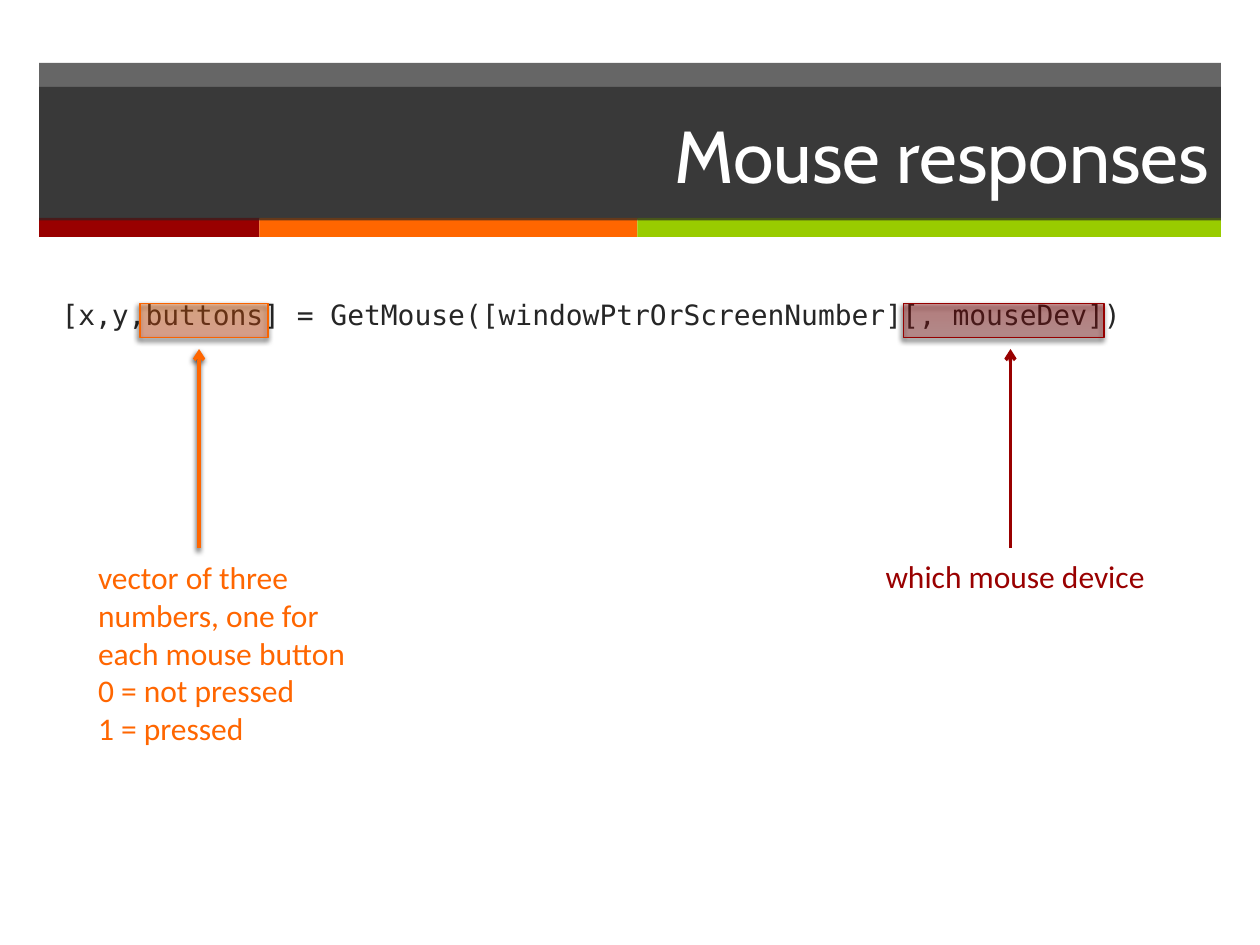
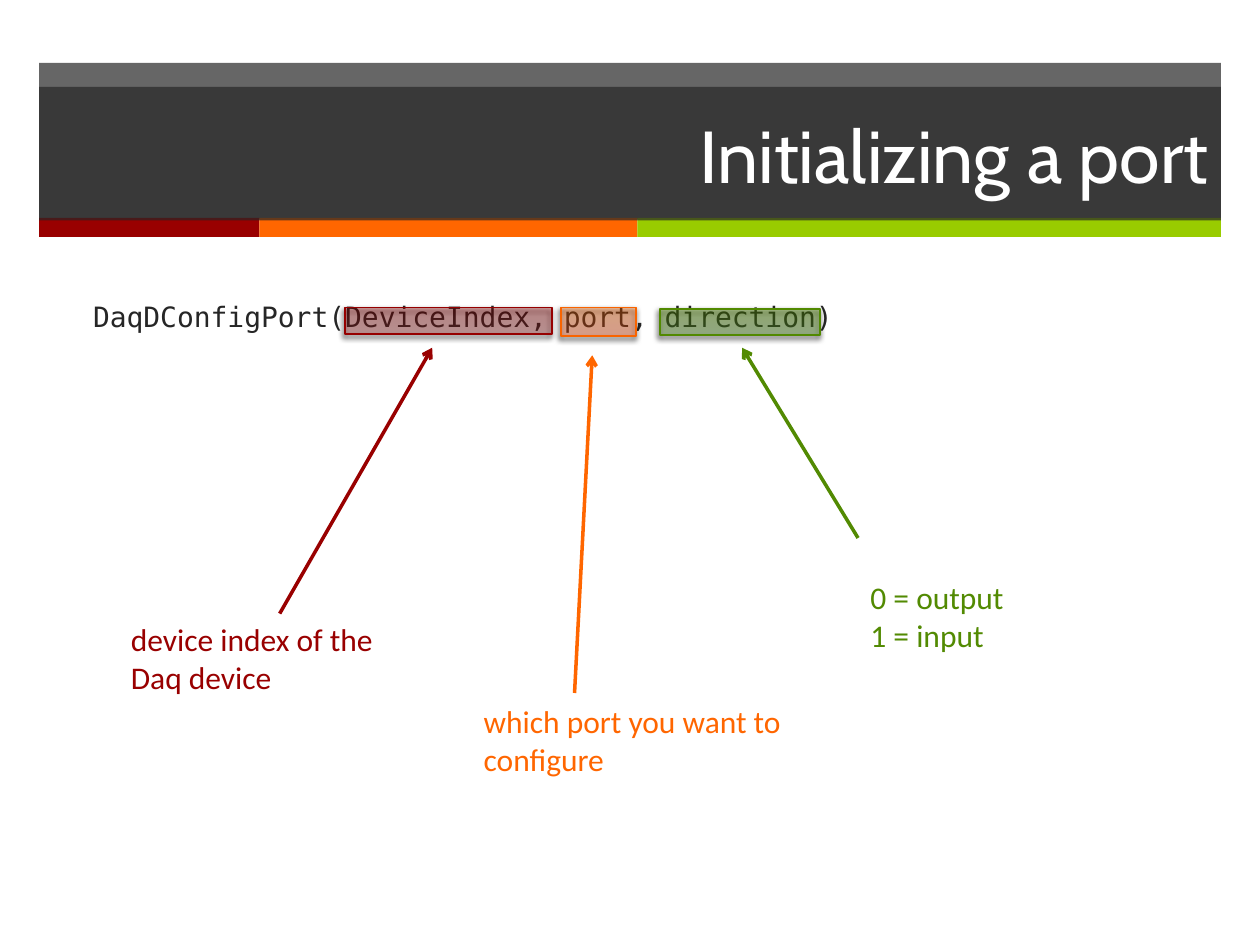
from lxml.etree import SubElement
from pptx import Presentation
from pptx.dml.color import RGBColor
from pptx.enum.shapes import MSO_CONNECTOR, MSO_SHAPE
from pptx.enum.text import MSO_ANCHOR, PP_ALIGN
from pptx.oxml.ns import qn
from pptx.util import Pt

PX = 9144
COLORS = {
    "dark": "262626", "white": "FFFFFF", "shadow": "000000",
    "red": "990000", "orange": "FF6600", "lime": "99CC00", "green": "528A02",
}
MARKS = {
    "red": ("9D2828", "990000", "960000"),
    "orange": ("FF5217", "FF6600", "F96400"),
    "green": ("548E2B", "528C00", "518900"),
}
BAND_LEFT, BAND_WIDTH = 31, 938
STRIPES = [("red", 175), ("orange", 300), ("lime", 463)]


def px(*lengths):
    return [n * PX for n in lengths]


def rgb(name):
    return RGBColor.from_string(COLORS.get(name, name))


def set_alpha(color, percent):
    SubElement(color, qn("a:alpha"), val=str(percent * 1000))


def add_shadow(effects):
    shadow = SubElement(effects, qn("a:outerShdw"), blurRad=str(Pt(3)),
                        dist=str(Pt(2)), dir=str(110 * 60000), rotWithShape="0")
    color = SubElement(shadow, qn("a:srgbClr"), val=COLORS["shadow"])
    set_alpha(color, 75)


def style_text(tf, font, size, color):
    tf.word_wrap = True
    for p in tf.paragraphs:
        for r in p.runs:
            r.font.name = font
            r.font.size = Pt(size)
            r.font.color.rgb = rgb(color)


def add_rect(s, box, color, alpha=100):
    sp = s.shapes.add_shape(MSO_SHAPE.RECTANGLE, *px(*box))
    sp.shadow.inherit = False
    sp.line.fill.background()
    sp.fill.solid()
    sp.fill.fore_color.rgb = rgb(color)
    if alpha < 100:
        set_alpha(sp._element.spPr.find(qn("a:solidFill"))[0], alpha)
    return sp


def add_header(s, title):
    add_rect(s, (BAND_LEFT, 50, BAND_WIDTH, 124), "dark", 70)
    left = BAND_LEFT
    for color, width in STRIPES:
        add_rect(s, (left, 173, width, 15), color)
        left += width
    tf = add_rect(s, (BAND_LEFT, 69, BAND_WIDTH, 106), "dark", 70).text_frame
    tf.text = title
    tf.vertical_anchor = MSO_ANCHOR.MIDDLE
    tf.paragraphs[0].alignment = PP_ALIGN.RIGHT
    style_text(tf, "Cabin", 42, "white")


def add_text(s, box, text, font, size, color):
    tf = s.shapes.add_textbox(*px(*box)).text_frame
    tf.text = text
    style_text(tf, font, size, color)
    return tf


def add_code(s, box, code):
    tf = add_text(s, box, code, "DejaVu Sans Mono", 16, "dark")
    tf.paragraphs[0].space_before = Pt(20)


def add_note(s, box, text, color):
    add_text(s, box, text, "Calibri", 18, color)


def add_mark(s, box, color, alpha):
    *shades, edge = MARKS[color]
    sp = add_rect(s, box, color)
    sp.fill.gradient()
    sp.fill.gradient_angle = 90
    for stop, shade in zip(sp.fill.gradient_stops, shades):
        stop.color.rgb = rgb(shade)
    for stop in sp._element.spPr.iter(qn("a:gs")):
        set_alpha(stop[0], alpha)
    sp.line.color.rgb = rgb(edge)
    sp.line.width = Pt(1)
    add_shadow(sp._element.spPr.find(qn("a:effectLst")))


def add_arrow(s, start, end, color, shadow=False):
    line = s.shapes.add_connector(MSO_CONNECTOR.STRAIGHT, *px(*start, *end))
    line.line.color.rgb = rgb(color)
    line.line.width = Pt(2)
    SubElement(line.line._get_or_add_ln(), qn("a:tailEnd"), type="arrow")
    effects = SubElement(line._element.spPr, qn("a:effectLst"))
    if shadow:
        add_shadow(effects)


def add_slide(prs, title):
    s = prs.slides.add_slide(prs.slide_layouts[6])
    add_header(s, title)
    return s


def build_mouse(prs):
    s = add_slide(prs, "Mouse responses")
    add_code(s, (39, 231, 943, 399),
             "[x,y,buttons] = GetMouse([windowPtrOrScreenNumber][, mouseDev])")
    add_mark(s, (717, 241, 159, 27), "red", 34)
    add_note(s, (693, 437, 240, 40), "which mouse device", "red")
    add_arrow(s, (802, 435), (802, 277), "red")
    add_mark(s, (111, 241, 102, 27), "orange", 33)
    add_note(s, (68, 438, 240, 162),
             "vector of three numbers, one for each mouse button\n"
             "0 = not pressed\n1 = pressed", "orange")
    add_arrow(s, (158, 435), (158, 277), "orange", shadow=True)


def build_port(prs):
    s = add_slide(prs, "Initializing a port")
    add_code(s, (64, 233, 774, 437),
             "DaqDConfigPort(DeviceIndex, port, direction)")
    add_mark(s, (274, 244, 164, 21), "red", 32)
    add_arrow(s, (222, 487), (343, 276), "red")
    add_note(s, (94, 487, 232, 71), "device index of the Daq device", "red")
    add_mark(s, (445, 244, 60, 23), "orange", 33)
    add_arrow(s, (456, 550), (470, 282), "orange")
    add_note(s, (374, 552, 259, 71), "which port you want to configure", "orange")
    add_mark(s, (524, 245, 127, 21), "green", 38)
    add_arrow(s, (681, 427), (589, 276), "green")
    add_note(s, (681, 454, 228, 71), "0 = output\n1 = input", "green")


def main():
    prs = Presentation()
    prs.slide_width, prs.slide_height = px(1000, 750)
    build_mouse(prs)
    build_port(prs)
    prs.save("out.pptx")


if __name__ == "__main__":
    main()
